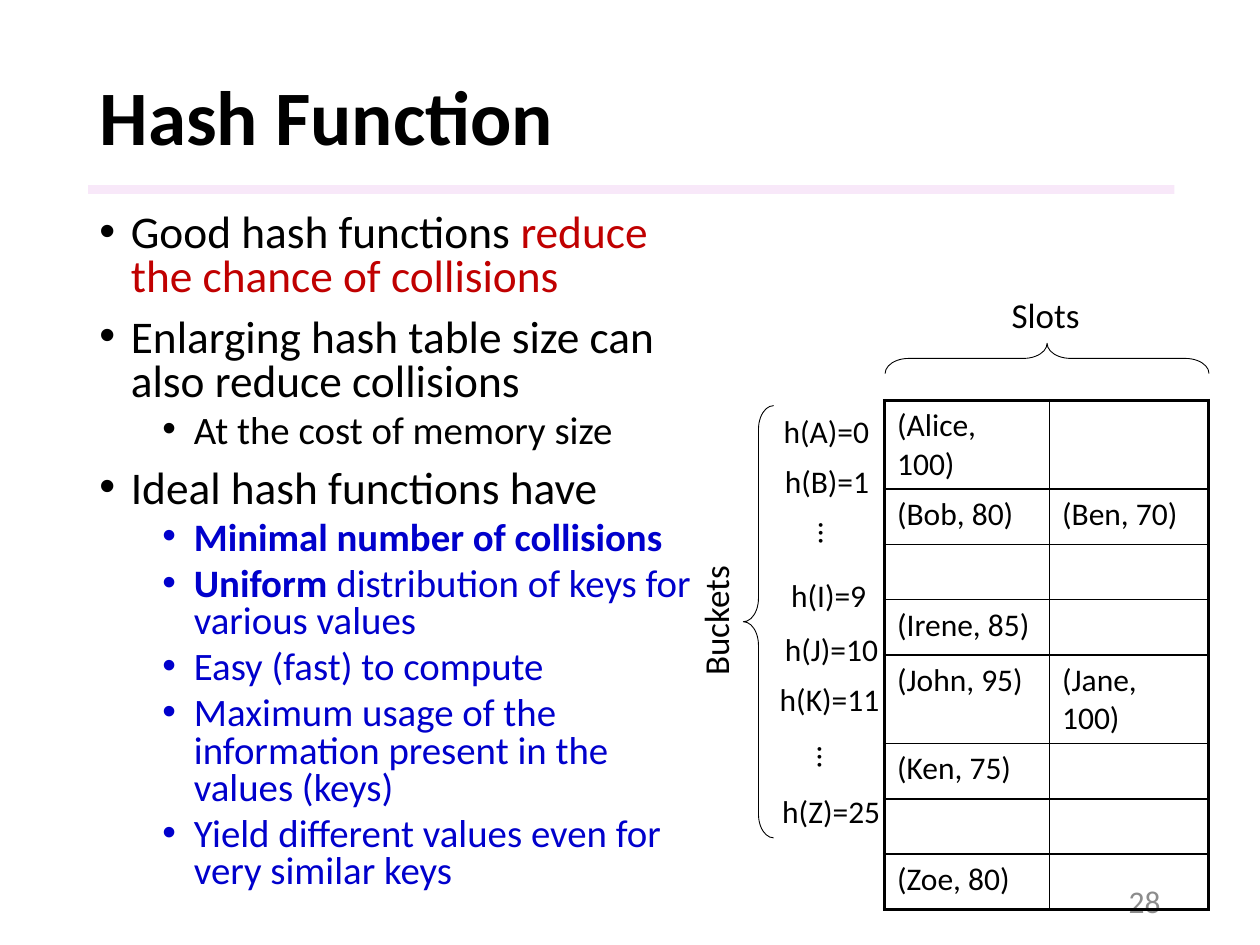
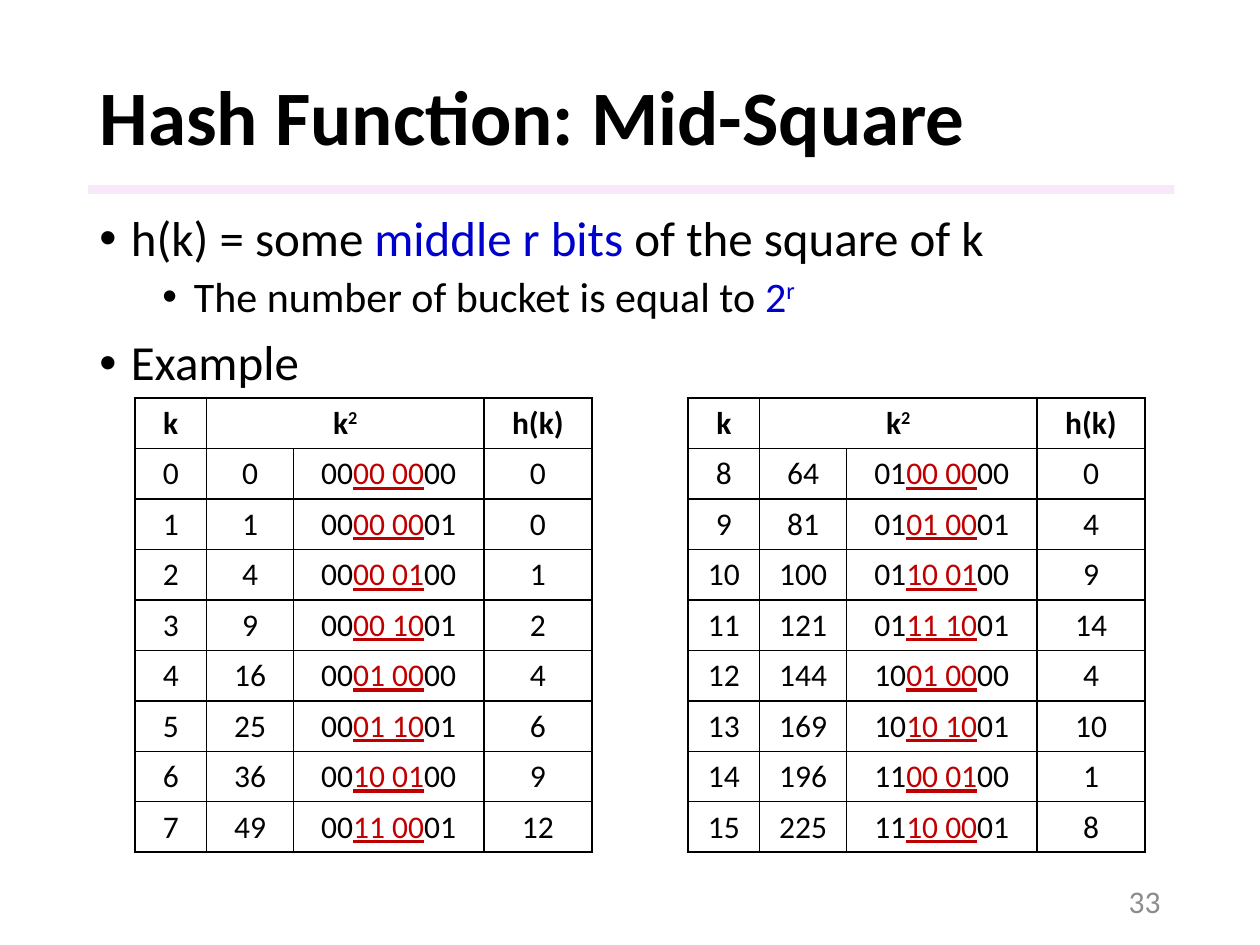
from lxml import etree
from pptx import Presentation
from pptx.dml.color import RGBColor
from pptx.enum.shapes import MSO_SHAPE as Shape
from pptx.enum.text import MSO_ANCHOR as Anchor
from pptx.enum.text import MSO_AUTO_SIZE as AutoSize
from pptx.enum.text import PP_ALIGN as Align
from pptx.oxml.ns import qn
from pptx.util import Inches, Pt

FONT = "Calibri"
BLACK, RED, BLUE, GREY, LILAC = "000000", "C00000", "0000CC", "8C8C8C", "F3D2F4"
LEFT, WIDTH = 0.69, 8.62
BODY_TOP, BODY_HEIGHT = 1.65, 5.58

GOOD_POINTS = [
    (0, [("Good hash functions ", {}), ("reduce the chance of collisions", {"color": RED})]),
    (0, [("Enlarging hash table size can also reduce collisions", {})]),
    (1, [("At the cost of memory size", {})]),
    (0, [("Ideal hash functions have", {})]),
    (1, [("Minimal number of collisions", {"color": BLUE, "bold": True})]),
    (1, [("Uniform ", {"color": BLUE, "bold": True}),
         ("distribution of keys for various values", {"color": BLUE})]),
    (1, [("Easy (fast) to compute", {"color": BLUE})]),
    (1, [("Maximum usage of the information present in the values (keys)", {"color": BLUE})]),
    (1, [("Yield different values even for very similar keys", {"color": BLUE})]),
]
MID_SQUARE_POINTS = [
    (0, [("h(k) = some ", {}), ("middle r bits ", {"color": BLUE}),
         ("of the square of k", {})]),
    (1, [("The number of bucket is equal to ", {}), ("2", {"color": BLUE}),
         ("r", {"color": BLUE, "raised": True})]),
    (0, [("Example", {})]),
]
SLOTS = [
    ("(Alice, 100)", ""), ("(Bob, 80)", "(Ben, 70)"), ("", ""), ("(Irene, 85)", ""),
    ("(John, 95)", "(Jane, 100)"), ("(Ken, 75)", ""), ("", ""), ("(Zoe, 80)", ""),
]
BUCKET_LABELS = [
    ("h(A)=0", 0.66, 0.94, 0.89, 0), ("h(B)=1", 0.67, 1.34, 0.88, 0),
    ("…", 0.95, 1.76, 0.38, 90), ("h(I)=9", 0.72, 2.24, 0.81, 0),
    ("h(J)=10", 0.67, 2.67, 0.95, 0), ("h(K)=11", 0.63, 3.07, 1.0, 0),
    ("…", 0.94, 3.54, 0.38, 90), ("h(Z)=25", 0.65, 3.96, 0.99, 0),
]


def rgb(code):
    """Turn a hex string into a colour."""
    return RGBColor.from_string(code)


def add_span(para, text, size, color=BLACK, bold=False, underline=False, raised=False):
    """Add one formatted run to a paragraph."""
    span = para.add_run()
    span.text = text
    font = span.font
    font.name, font.size, font.bold = FONT, Pt(size), bold
    font.color.rgb = rgb(color)
    if underline:
        font.underline = True
    if raised:
        span._r.get_or_add_rPr().set("baseline", "30000")


def add_text_box(page, left, top, width, height):
    """Add a wrapping text box."""
    box = page.shapes.add_textbox(Inches(left), Inches(top), Inches(width), Inches(height))
    box.text_frame.word_wrap = True
    return box


def add_label(page, text, left, top, width, turn=0, size=18):
    """Add a one-line label, turned if asked."""
    box = add_text_box(page, left, top, width, 0.4 if size == 18 else 0.44)
    box.rotation = turn
    box.text_frame.word_wrap = False
    box.text_frame.auto_size = AutoSize.SHAPE_TO_FIT_TEXT
    add_span(box.text_frame.paragraphs[0], text, size)


def add_page(deck, heading, number):
    """Add a slide with its title, band and page number."""
    page = deck.slides.add_slide(deck.slide_layouts[5])
    band = page.shapes.add_shape(
        Shape.RECTANGLE, Inches(0.7), Inches(1.47), Inches(WIDTH), Inches(0.07))
    band.shadow.inherit = False
    band.line.fill.background()
    band.fill.solid()
    band.fill.fore_color.rgb = rgb(LILAC)
    color = band.fill._xPr.find(qn("a:solidFill"))[0]
    etree.SubElement(color, qn("a:alpha"), val="50000")

    title = page.shapes.title
    title.left, title.top = Inches(LEFT), Inches(0.4)
    title.width, title.height = Inches(WIDTH), Inches(1.11)
    title.text_frame.auto_size = AutoSize.NONE
    title.text_frame.vertical_anchor = Anchor.MIDDLE
    para = title.text_frame.paragraphs[0]
    para.alignment, para.line_spacing = Align.LEFT, 0.9
    add_span(para, heading, 44, bold=True)

    footer = add_text_box(page, 7.06, 6.95, 2.25, 0.4)
    footer.text_frame.vertical_anchor = Anchor.MIDDLE
    para = footer.text_frame.paragraphs[0]
    para.alignment = Align.RIGHT
    add_span(para, str(number), 18, GREY)
    return page


def add_bullets(page, points, width, sizes, spacing):
    """Add the two-level bullet list below the band."""
    frame = add_text_box(page, LEFT, BODY_TOP, width, BODY_HEIGHT).text_frame
    for index, (level, spans) in enumerate(points):
        para = frame.add_paragraph() if index else frame.paragraphs[0]
        para.level = level
        props = para._p.get_or_add_pPr()
        props.set("marL", str(Inches(0.25 + 0.5 * level)))
        props.set("indent", str(Inches(-0.25)))
        etree.SubElement(props, qn("a:buFont"), typeface="Arial")
        etree.SubElement(props, qn("a:buChar"), char="•")
        para.line_spacing = spacing
        if index:
            para.space_before = Pt(5 if level else 10)
        for text, style in spans:
            add_span(para, text, sizes[level], **style)


def add_plain_table(page, left, top, columns, row_count, row_height):
    """Add an unstyled table with the given column widths."""
    table = page.shapes.add_table(
        row_count, len(columns), Inches(left), Inches(top),
        Inches(sum(columns)), Inches(row_height * row_count)).table
    table.first_row = table.horz_banding = False
    for column, width in zip(table.columns, columns):
        column.width = Inches(width)
    return table


def rule_cells(table, outer=1):
    """Draw black cell borders, with their own width round the table."""
    last_row, last_column = len(table.rows) - 1, len(table.columns) - 1
    for r in range(last_row + 1):
        for c in range(last_column + 1):
            cell = table.cell(r, c)
            props = cell._tc.get_or_add_tcPr()
            edges = {"L": c == 0, "R": c == last_column, "T": r == 0, "B": r == last_row}
            for side, is_outer in edges.items():
                line = etree.SubElement(
                    props, qn(f"a:ln{side}"), w=str(Pt(outer if is_outer else 1)))
                fill = etree.SubElement(line, qn("a:solidFill"))
                etree.SubElement(fill, qn("a:srgbClr"), val=BLACK)
            cell.fill.background()


def add_brace(page, left, top, height, turn=0):
    """Add a thin brace."""
    brace = page.shapes.add_shape(
        Shape.LEFT_BRACE, Inches(left), Inches(top), Inches(0.24), Inches(height))
    brace.rotation = turn
    brace.shadow.inherit = False
    brace.adjustments[0] = 0.783
    brace.fill.background()
    brace.line.color.rgb = rgb(BLACK)
    brace.line.width = Pt(0.5)


def add_bucket_diagram(page, left, top):
    """Draw the hash table with its bucket and slot labels."""
    for text, x, y, width, turn in BUCKET_LABELS:
        add_label(page, text, left + x, top + y, width, turn)
    add_brace(page, left + 0.44, top + 0.94, 3.43)
    add_label(page, "Buckets", left - 0.32, top + 2.42, 1.08, 270, 20)
    add_brace(page, left + 2.73, top - 0.72, 2.57, 90)
    add_label(page, "Slots", left + 2.47, top, 0.75, 0, 20)
    table = add_plain_table(page, left + 1.56, top + 0.9, (1.31, 1.26), len(SLOTS), 0.44)
    for r, entries in enumerate(SLOTS):
        for c, entry in enumerate(entries):
            if entry:
                add_span(table.cell(r, c).text_frame.paragraphs[0], entry, 18)
    rule_cells(table, 2.25)


def add_square_table(page, left, top, keys):
    """List each key with its square and the four middle bits as hash."""
    table = add_plain_table(page, left, top, (0.57, 0.69, 1.51, 0.86), len(keys) + 1, 0.4)
    rule_cells(table)
    table.cell(0, 1).merge(table.cell(0, 2))
    strong = {"bold": True}
    rows = [{0: [("k", strong)], 1: [("k", strong), ("2", {"bold": True, "raised": True})],
             3: [("h(k)", strong)]}]
    for key in keys:
        square = key * key
        bits = f"{square:08b}"
        middle = f"{bits[2:4]} {bits[4:6]}"
        rows.append({
            0: [(str(key), {})],
            1: [(str(square), {})],
            2: [(bits[:2], {}), (middle, {"color": RED, "underline": True}), (bits[6:], {})],
            3: [(str(square >> 2 & 15), {})],
        })
    for r, row in enumerate(rows):
        for c, spans in row.items():
            cell = table.cell(r, c)
            if r == 0:
                cell.vertical_anchor = Anchor.MIDDLE
            para = cell.text_frame.paragraphs[0]
            para.alignment = Align.CENTER
            for text, style in spans:
                add_span(para, text, 18, **style)


def build_hash_function(deck):
    """Build the slide on good hash functions."""
    page = add_page(deck, "Hash Function", 28)
    add_bullets(page, GOOD_POINTS, 4.95, (25.9, 22.2), 0.8)
    add_bucket_diagram(page, 5.46, 2.28)


def build_mid_square(deck):
    """Build the slide on the mid-square method."""
    page = add_page(deck, "Hash Function: Mid-Square", 33)
    add_bullets(page, MID_SQUARE_POINTS, WIDTH, (28, 24), 0.9)
    for left, first_key in ((1.07, 0), (5.46, 8)):
        add_square_table(page, left, 3.16, range(first_key, first_key + 8))


def main():
    """Build and save the deck."""
    deck = Presentation()
    deck.slide_width, deck.slide_height = Inches(10), Inches(7.5)
    build_hash_function(deck)
    build_mid_square(deck)
    deck.save("out.pptx")


if __name__ == "__main__":
    main()
